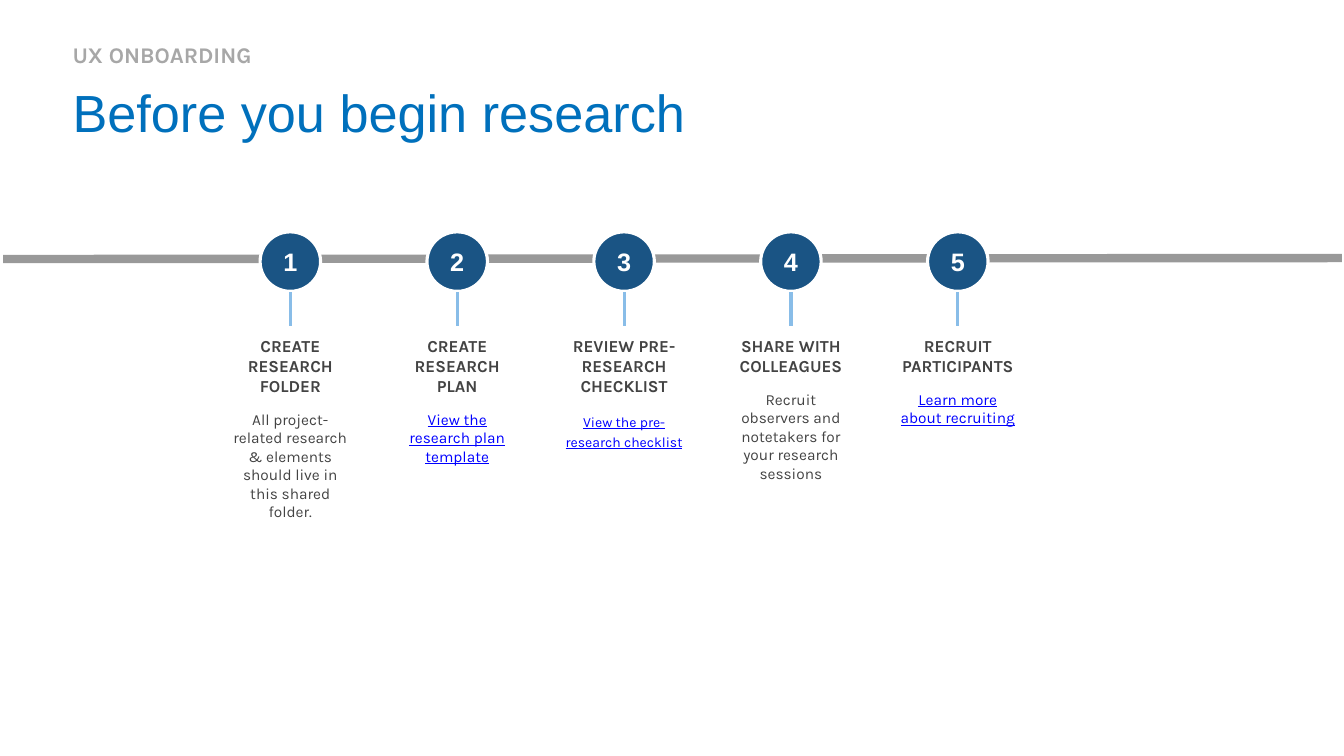
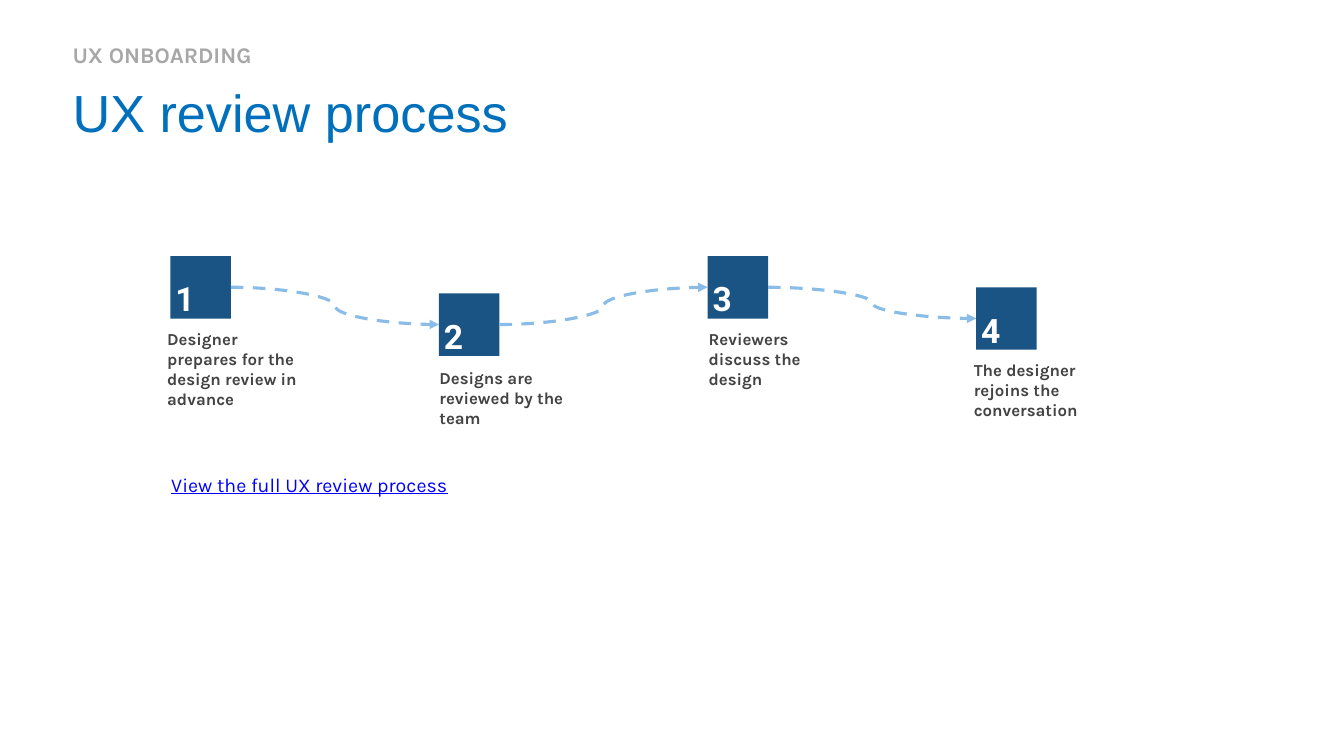
import pptx
import pptx.util
import pptx.dml.color
import pptx.enum.dml
import pptx.enum.shapes
import pptx.enum.text
import pptx.oxml.ns
import lxml.etree

Inches = pptx.util.Inches
Pt = pptx.util.Pt
Shape = pptx.enum.shapes.MSO_SHAPE
Link = pptx.enum.shapes.MSO_CONNECTOR
Align = pptx.enum.text.PP_ALIGN
Anchor = pptx.enum.text.MSO_ANCHOR
qn = pptx.oxml.ns.qn

NAVY, SKY, BLUE = "1A5484", "89BDE8", "0070BC"
GREY, RAIL, TEXT, LINK, WHITE = "A7A7A7", "999999", "434343", "0000FF", "FFFFFF"


def tint(code):
    return pptx.dml.color.RGBColor.from_string(code)


def write(shape, rows, pads=(0.1, 0.1, 0.1, 0.1), align=Align.LEFT, anchor=Anchor.TOP):
    frame = shape.text_frame
    frame.word_wrap = True
    frame.vertical_anchor = anchor
    frame.margin_left, frame.margin_top, frame.margin_right, frame.margin_bottom = map(Inches, pads)
    frame.text = "\n".join(row[0] for row in rows)
    for para, (words, size, face, code, bold) in zip(frame.paragraphs, rows):
        para.alignment = align
        font = para.runs[0].font
        font.size, font.name, font.bold = Pt(size), face, bold
        font.underline = code == LINK
        font.color.rgb = tint(code)


deck = pptx.Presentation()
deck.slide_width, deck.slide_height = Inches(13.33), Inches(7.5)
pages = []
for title in ("Before you begin research", "UX review process"):
    page = deck.slides.add_slide(deck.slide_layouts[6])
    pages.append(page)
    heads = (
        (0.75, 0.92, (title, 37.3, "Arial", BLUE, False)),
        (0.36, 0.39, ("UX ONBOARDING", 16, "Karla", GREY, True)),
    )
    for top, height, row in heads:
        box = page.shapes.add_textbox(Inches(0.67), Inches(top), Inches(11), Inches(height))
        write(box, [row], (0.05, 0.05, 0.05, 0.05))

plan, review = (page.shapes for page in pages)
lines = []

rail = plan.add_connector(Link.STRAIGHT, Inches(0.03), Inches(2.57), Inches(13.31), Inches(2.56))
lines.append((rail, RAIL, 6))

tasks = (
    ("CREATE RESEARCH FOLDER",
     "All project-related research & elements should live in this shared folder.", 11, TEXT),
    ("CREATE RESEARCH PLAN", "View the research plan template", 11, LINK),
    ("REVIEW PRE-RESEARCH CHECKLIST", "View the pre-research checklist", 10, LINK),
    ("SHARE WITH COLLEAGUES",
     "Recruit observers and notetakers for your research sessions", 11, TEXT),
    ("RECRUIT PARTICIPANTS", "Learn more about recruiting", 11, LINK),
)
for index, (task, detail, size, code) in enumerate(tasks):
    centre = 2.88 + 1.655 * index
    dot = plan.add_shape(Shape.OVAL, Inches(centre - 0.3), Inches(2.3), Inches(0.6), Inches(0.59))
    dot.shadow.inherit = False
    dot.fill.solid()
    dot.fill.fore_color.rgb = tint(NAVY)
    dot.line.color.rgb = tint(WHITE)
    dot.line.width = Pt(2.25)
    write(dot, [(str(index + 1), 18, "Arial", WHITE, True)], align=Align.CENTER, anchor=Anchor.MIDDLE)

    label = plan.add_textbox(Inches(centre - 0.685), Inches(3.23), Inches(1.37), Inches(1.44))
    write(label, [(task, 12, "Karla", TEXT, True), (detail, size, "Karla", code, False)], align=Align.CENTER)
    body = label.text_frame.paragraphs[1]
    body.space_before = Pt(10)
    if size == 10:
        body.line_spacing = 1.2

    stem = plan.add_connector(Link.STRAIGHT, Inches(centre), Inches(2.9), Inches(centre), Inches(3.23))
    stem.end_connect(label, 0)
    lines.append((stem, SKY, 2.25))

steps = (
    ("Designer prepares for the design review in advance", 2.54, 1.56, 3.16),
    ("Designs are reviewed by the team", 2.91, 4.26, 3.55),
    ("Reviewers discuss the design", 2.54, 6.93, 3.16),
    ("The designer rejoins the conversation", 2.85, 9.56, 3.47),
)
tiles = []
for index, (step, top, left, below) in enumerate(steps):
    tile = review.add_shape(Shape.RECTANGLE, Inches(1.69 + 2.664 * index), Inches(top),
                            Inches(0.6), Inches(0.62))
    tile.shadow.inherit = False
    tile.fill.solid()
    tile.fill.fore_color.rgb = tint(NAVY)
    tile.line.fill.background()
    write(tile, [(str(index + 1), 24, "Roboto", WHITE, True)], (0.05, 0, 0, 0), anchor=Anchor.BOTTOM)
    tiles.append(tile)
    label = review.add_textbox(Inches(left), Inches(below), Inches(1.51), Inches(1.44))
    write(label, [(step, 12, "Karla", TEXT, True)])

curves = []
for start, end in zip(tiles, tiles[1:]):
    curve = review.add_connector(Link.CURVE, 0, 0, 0, 0)
    curve.begin_connect(start, 3)
    curve.end_connect(end, 1)
    curves.append(curve)
    lines.append((curve, SKY, 2.25))

more = review.add_textbox(Inches(1.6), Inches(4.59), Inches(6.41), Inches(0.75))
write(more, [("View the full UX review process", 14, "Karla", LINK, False)])

for line, code, width in lines:
    line.line.color.rgb = tint(code)
    line.line.width = Pt(width)
    lxml.etree.SubElement(line.element.spPr, qn("a:effectLst"))

for curve in curves:
    curve.line.dash_style = pptx.enum.dml.MSO_LINE.DASH
    lxml.etree.SubElement(curve.get_or_add_ln(), qn("a:tailEnd"), type="triangle")

deck.save("out.pptx")
